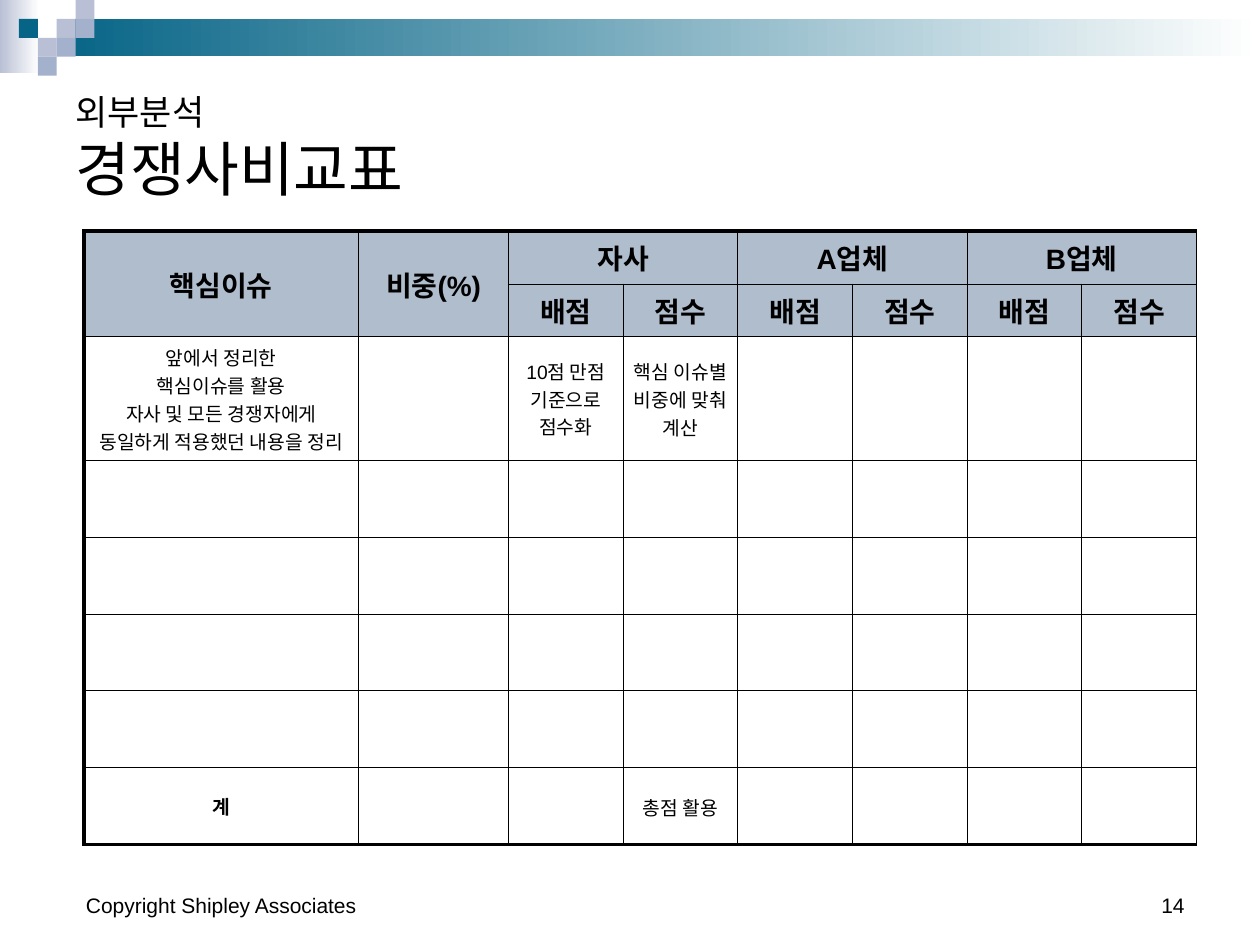
from dataclasses import dataclass

from lxml import etree
from pptx import Presentation
from pptx.dml.color import RGBColor
from pptx.enum.shapes import MSO_SHAPE
from pptx.enum.text import MSO_ANCHOR, PP_ALIGN
from pptx.oxml.ns import qn
from pptx.util import Inches, Pt

RECT = MSO_SHAPE.RECTANGLE
LEFT, CENTER, RIGHT = PP_ALIGN.LEFT, PP_ALIGN.CENTER, PP_ALIGN.RIGHT
BOTTOM, MIDDLE = MSO_ANCHOR.BOTTOM, MSO_ANCHOR.MIDDLE
COLS, ROWS = 120, 90
TILE = 1.8


@dataclass(frozen=True)
class Theme:
    font: str = "Arial"
    ink: str = "000000"
    paper: str = "FFFFFF"
    teal: str = "066486"
    pale: str = "B9C0D5"
    blue: str = "A4B1CC"
    header: str = "B0BDCD"
    kicker: int = 20
    title: int = 34
    head: int = 16
    body: int = 11
    footer: int = 12
    thin: float = 0.5
    thick: float = 2.25


def rgb(color):
    return RGBColor.from_string(color)


class Deck:
    def __init__(self, theme):
        self.theme = theme
        self.prs = Presentation()
        self.prs.slide_width, self.prs.slide_height = Inches(10), Inches(7.5)
        self.s = self.prs.slides.add_slide(self.prs.slide_layouts[6])

    def place(self, x, y, w, h):
        dx, dy = self.prs.slide_width / COLS, self.prs.slide_height / ROWS
        return [round(v) for v in (x * dx, y * dy, w * dx, h * dy)]

    def rect(self, box, color, fade=False):
        sp = self.s.shapes.add_shape(RECT, *self.place(*box))
        sp.shadow.inherit = False
        sp.line.fill.background()
        if fade:
            sp.fill.gradient()
            sp.fill.gradient_angle = 0
            for stop, c in zip(sp.fill.gradient_stops, (color, self.theme.paper)):
                stop.color.rgb = rgb(c)
        else:
            sp.fill.solid()
            sp.fill.fore_color.rgb = rgb(color)

    def font(self, font, size, bold=False):
        font.name, font.size, font.bold = self.theme.font, Pt(size), bold
        font.color.rgb = rgb(self.theme.ink)

    def text(self, box, lines, align=LEFT):
        tf = self.s.shapes.add_textbox(*self.place(*box)).text_frame
        tf.word_wrap, tf.vertical_anchor = True, BOTTOM
        p = tf.paragraphs[0]
        p.alignment = align
        for i, (line, size) in enumerate(lines):
            if i:
                p.add_line_break()
            r = p.add_run()
            r.text = line
            self.font(r.font, size)

    def border(self, cell, side, width):
        tcPr = cell._tc.get_or_add_tcPr()
        ln = etree.SubElement(tcPr, qn(f"a:ln{side}"), w=str(Pt(width)))
        fill = etree.SubElement(ln, qn("a:solidFill"))
        etree.SubElement(fill, qn("a:srgbClr"), val=self.theme.ink)

    def table(self, box, widths, heights, cells, merges, tight, bold):
        t = self.theme
        n, m = len(heights), len(widths)
        tbl = self.s.shapes.add_table(n, m, *self.place(*box)).table
        for col, w in zip(tbl.columns, widths):
            col.width = Inches(w)
        for row, h in zip(tbl.rows, heights):
            row.height = Inches(h)
        for i in range(n):
            for j in range(m):
                cell, head = tbl.cell(i, j), i < 2
                edges = {"L": j == 0, "R": False, "T": i == 0, "B": i == n - 1}
                for side, outer in edges.items():
                    self.border(cell, side, t.thick if outer else t.thin)
                cell.fill.solid()
                cell.fill.fore_color.rgb = rgb(t.header if head else t.paper)
                cell.vertical_anchor = MIDDLE
                if (i, j) in tight:
                    cell.margin_left = cell.margin_right = cell.margin_top = Inches(0.01)
                    cell.margin_bottom = 0
                cell.text = cells.get((i, j), "")
                for p in cell.text_frame.paragraphs:
                    p.alignment = CENTER
                    self.font(p.font, t.head if head else t.body, head or (i, j) in bold)
        for first, last in merges:
            tbl.cell(*first).merge(tbl.cell(*last))


def main():
    t = Theme()
    deck = Deck(t)
    deck.rect((0, 0, 3.72, 6.96), t.pale, fade=True)
    deck.rect((5.4, TILE, 114.6, 3.55), t.teal, fade=True)
    tiles = [(3, 1, t.pale), (4, 0, t.pale), (4, 1, t.blue), (2, 2, t.pale),
             (1, 1, t.teal), (3, 2, t.blue), (2, 3, t.blue)]
    for col, row, color in tiles:
        deck.rect((col * TILE, row * TILE, TILE, TILE), color)

    deck.text((86, 82, 28, 6), [("14", t.footer)], RIGHT)
    deck.text((7, 82, 38, 6), [("Copyright Shipley Associates", t.footer)])
    deck.text((6, 6, 108, 14), [("외부분석", t.kicker), ("경쟁사비교표", t.title)])

    cells = {
        (0, 0): "핵심이슈",
        (0, 1): "비중(%)",
        (2, 0): "앞에서 정리한\n핵심이슈를 활용\n자사 및 모든 경쟁자에게 동일하게 적용했던 내용을 정리",
        (2, 2): "10점 만점\v기준으로 점수화",
        (2, 3): "핵심 이슈별 비중에 맞춰 계산",
        (7, 0): "계",
        (7, 3): "총점 활용",
    }
    merges = [((0, j), (1, j)) for j in range(2)]
    for j, company in zip(range(2, 8, 2), ("자사", "A업체", "B업체")):
        cells.update({(0, j): company, (1, j): "배점", (1, j + 1): "점수"})
        merges.append(((0, j), (0, j + 1)))
    deck.table((8, 22, 106, 58.44), [2.18, 1.19] + [0.91] * 6,
               [0.42] * 2 + [0.98] + [0.61] * 5, cells, merges,
               tight={(2, 3), (7, 3)}, bold={(7, 0)})
    deck.prs.save("out.pptx")


if __name__ == "__main__":
    main()
